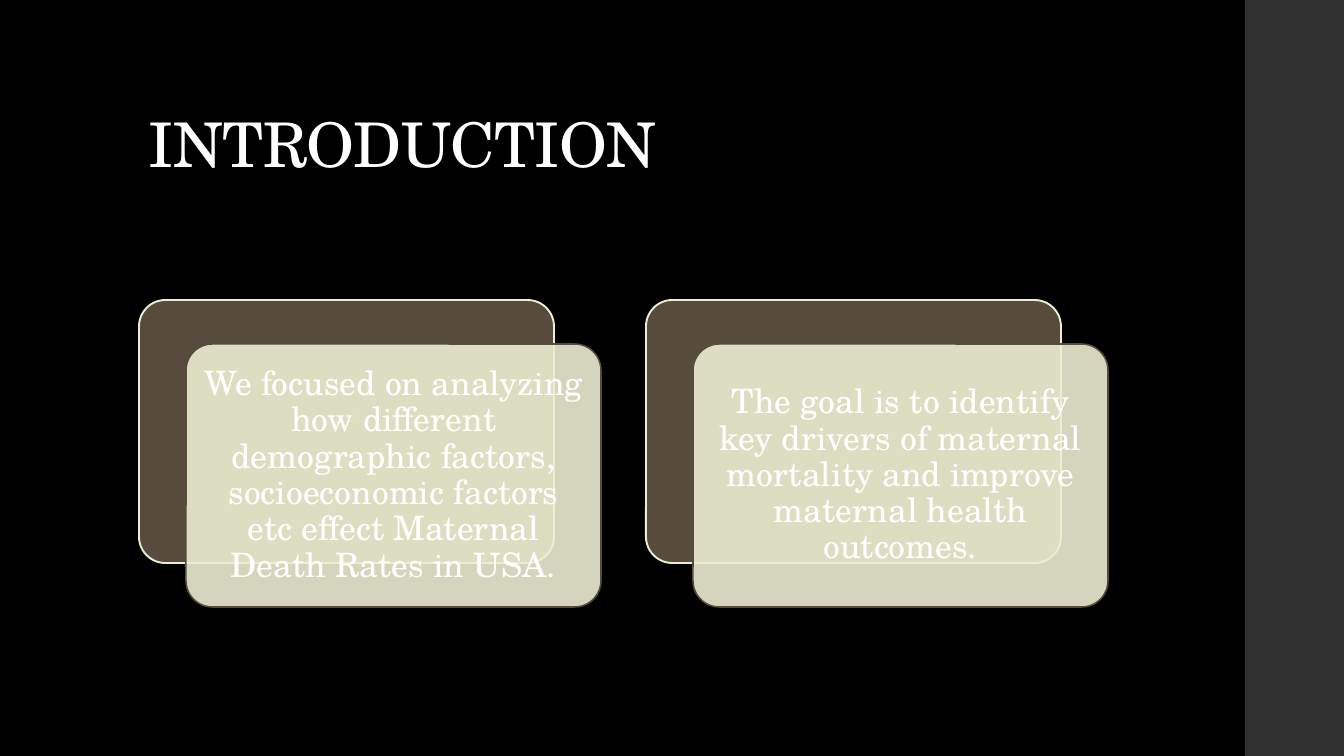
import pptx
import pptx.dml.color
import pptx.enum.shapes
import pptx.enum.text
import pptx.oxml
import pptx.oxml.ns
import pptx.util

# Content
TITLE = "INTRODUCTION"
CARDS = [
    "We focused on analyzing how different demographic factors, "
    "socioeconomic factors etc effect Maternal Death Rates in USA.",
    "The goal is to identify key drivers of maternal mortality "
    "and improve maternal health outcomes.",
]

# Style
RGB = pptx.dml.color.RGBColor
BLACK = RGB(0x00, 0x00, 0x00)
WHITE = RGB(0xFF, 0xFF, 0xFF)
GREY = RGB(0x30, 0x30, 0x30)
BROWN = RGB(0x56, 0x4B, 0x3C)
CREAM = RGB(0xEC, 0xED, 0xD1)
FONT = "TeX Gyre Schola"

# Layout in px
SLIDE_W, SLIDE_H = 1344, 756
BAR_X, BAR_W = 1245, 99
LEFT = 139
TITLE_Y, TITLE_W, TITLE_H = 40, 1107, 146
CARD_Y, CARD_W, CARD_H = 300, 415, 263
CARD_STEP = 507
FRONT_DX, FRONT_DY = 47, 44
INSET = 10

Pt = pptx.util.Pt
SHAPES = pptx.enum.shapes.MSO_SHAPE
ANCHORS = pptx.enum.text.MSO_ANCHOR


def px(n):
    return pptx.util.Emu(round(n * 914400 / 100.8))


def add_box(s, kind, x, y, w, h, fill, line=None, line_pt=0):
    sp = s.shapes.add_shape(kind, px(x), px(y), px(w), px(h))
    sp.shadow.inherit = False
    sp.fill.solid()
    sp.fill.fore_color.rgb = fill
    if line is None:
        sp.line.fill.background()
    else:
        sp.line.color.rgb = line
        sp.line.width = Pt(line_pt)
    return sp


def add_card(s, x, y, fill, line, line_pt):
    sp = add_box(s, SHAPES.ROUNDED_RECTANGLE, x, y, CARD_W, CARD_H, fill, line, line_pt)
    sp.adjustments[0] = 0.1
    return sp


def set_text(sp, text, size, anchor):
    tf = sp.text_frame
    tf.word_wrap = True
    tf.vertical_anchor = anchor
    p = tf.paragraphs[0]
    p.text = text
    p.line_spacing = 0.9
    p.font.name = FONT
    p.font.size = Pt(size)
    p.font.color.rgb = WHITE
    return tf


# Slide and side bar
prs = pptx.Presentation()
prs.slide_width, prs.slide_height = px(SLIDE_W), px(SLIDE_H)
s = prs.slides.add_slide(prs.slide_layouts[6])
s.background.fill.solid()
s.background.fill.fore_color.rgb = BLACK
add_box(s, SHAPES.RECTANGLE, BAR_X, 0, BAR_W, SLIDE_H, GREY)

# Title, slightly tightened
title = s.shapes.add_textbox(px(LEFT), px(TITLE_Y), px(TITLE_W), px(TITLE_H))
tf = set_text(title, TITLE, 44, ANCHORS.BOTTOM)
tf.paragraphs[0].runs[0].font._element.set("spc", "-50")

# Cards: a brown back plate with a translucent text plate in front
for i, text in enumerate(CARDS):
    x = LEFT + i * CARD_STEP
    add_card(s, x, CARD_Y, BROWN, CREAM, 1.35)
    front = add_card(s, x + FRONT_DX, CARD_Y + FRONT_DY, CREAM, BROWN, 1.1)
    color = front.fill._xPr.find(".//" + pptx.oxml.ns.qn("a:srgbClr"))
    color.append(pptx.oxml.parse_xml(
        f'<a:alpha {pptx.oxml.ns.nsdecls("a")} val="90000"/>'))
    tf = set_text(front, text, 24, ANCHORS.MIDDLE)
    tf.margin_left = tf.margin_right = tf.margin_top = tf.margin_bottom = px(INSET)
    p = tf.paragraphs[0]
    p.alignment = pptx.enum.text.PP_ALIGN.CENTER
    p.space_after = Pt(8.4)

prs.save("out.pptx")
